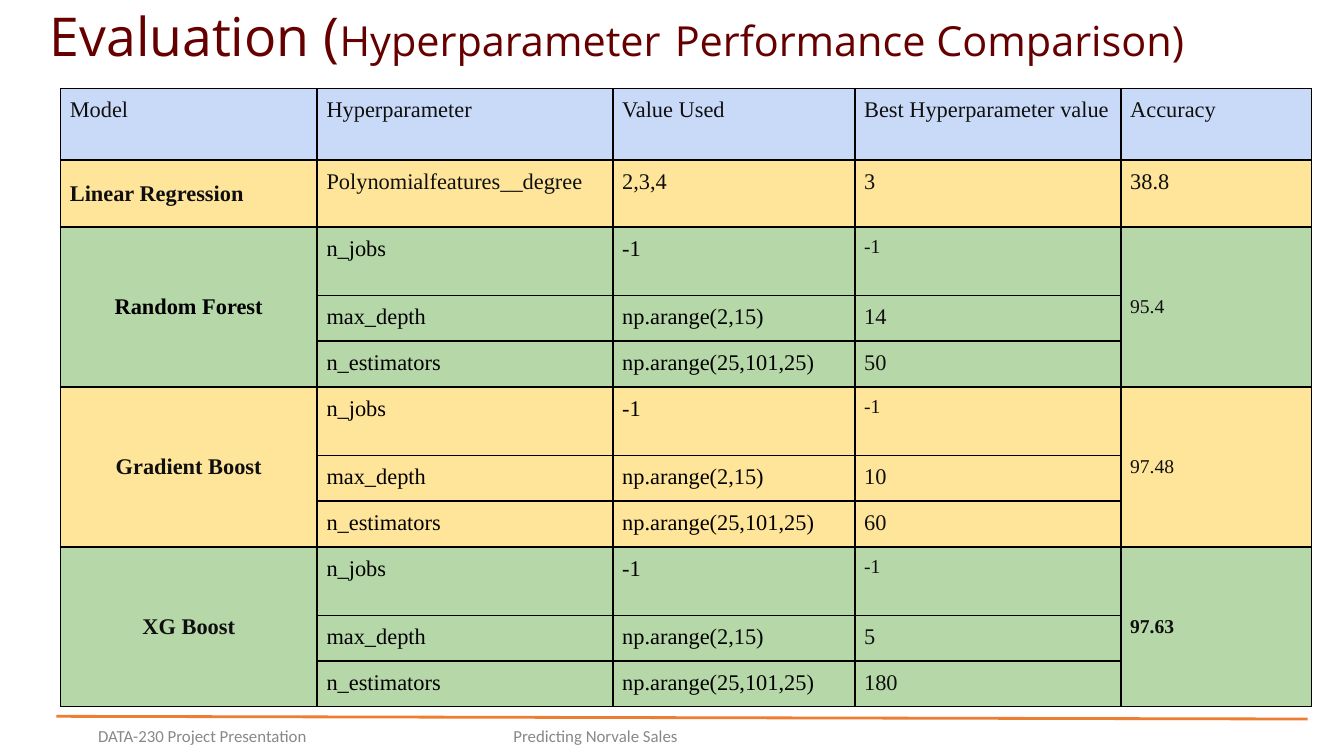
"""Build the hyperparameter comparison slide."""
from dataclasses import dataclass

from lxml.etree import SubElement
from pptx import Presentation
from pptx.dml.color import RGBColor
from pptx.enum.shapes import MSO_CONNECTOR
from pptx.enum.text import MSO_ANCHOR, MSO_AUTO_SIZE, PP_ALIGN
from pptx.oxml import parse_xml
from pptx.oxml.ns import nsdecls, qn
from pptx.slide import Slide
from pptx.table import Table, _Cell
from pptx.text.text import _Run
from pptx.util import Inches, Pt


@dataclass(frozen=True)
class Theme:
    title_font: str = "Open Sans"
    table_font: str = "Times New Roman"
    footer_font: str = "Calibri"
    maroon: str = "660000"
    orange: str = "ED7D31"
    gray: str = "888888"
    ink: str = "0F0F0F"
    black: str = "000000"
    blue: str = "C9DAF8"
    yellow: str = "FFE599"
    green: str = "B6D7A8"
    title: float = 28.7
    subtitle: float = 22.2
    body: float = 12
    small: float = 10.5
    footer: float = 9


THEME = Theme()


@dataclass(frozen=True)
class CellStyle:
    color: str = THEME.ink
    size: float = THEME.body
    bold: bool = False
    middle: bool = False
    centered: bool = False


@dataclass(frozen=True)
class Span:
    text: str
    size: float
    font: str
    color: str


@dataclass(frozen=True)
class TextBox:
    left: float
    top: float
    width: float
    height: float
    spans: tuple[Span, ...]
    line_spacing: float = 1.0
    grow: bool = False


@dataclass(frozen=True)
class Model:
    name: str
    fill: str
    best_depth: str
    best_estimators: str
    accuracy: str
    name_color: str = THEME.ink
    accuracy_bold: bool = False


SLIDE_WIDTH = 10
SLIDE_HEIGHT = SLIDE_WIDTH * 9 / 16
HEADINGS = ("Model", "Hyperparameter", "Value Used", "Best Hyperparameter value", "Accuracy")
LINEAR = ("Linear Regression", "Polynomialfeatures__degree", "2,3,4", "3", "38.8")
MODELS = (
    Model("Random Forest", THEME.green, "14", "50", "95.4", THEME.black),
    Model("Gradient Boost", THEME.yellow, "10", "60", "97.48"),
    Model("XG Boost", THEME.green, "5", "180", "97.63", accuracy_bold=True),
)
COLUMN_WIDTHS = (1.91, 2.2, 1.8, 1.98, 1.42)
GROUP_HEIGHTS = (0.51, 0.34, 0.34)
ROW_HEIGHTS = (0.53, 0.5) + GROUP_HEIGHTS * len(MODELS)

TITLE = TextBox(0.33, 0, 8.89, 0.59, tuple(
    Span(text, size, THEME.title_font, THEME.maroon) for text, size in (
        ("Evaluation (", THEME.title), ("Hyperparameter", THEME.subtitle),
        (" ", THEME.title), ("Performance Comparison)", THEME.subtitle))), 0.9)
FOOTERS = tuple(
    TextBox(left, 5.36, width, 0.23,
            (Span(text, THEME.footer, THEME.footer_font, THEME.gray),), grow=True)
    for left, width, text in ((0.69, 2.25, "DATA-230 Project Presentation"),
                              (3.78, 4.85, "Predicting Norvale Sales")))


def format_run(run: _Run, font: str, size: float, color: str, bold: bool = False) -> None:
    run.font.name = font
    run.font.size = Pt(size)
    run.font.bold = bold
    run.font.color.rgb = RGBColor.from_string(color)


def draw_text(page: Slide, item: TextBox) -> None:
    box = page.shapes.add_textbox(
        Inches(item.left), Inches(item.top), Inches(item.width), Inches(item.height))
    frame = box.text_frame
    frame.word_wrap = True
    frame.auto_size = MSO_AUTO_SIZE.SHAPE_TO_FIT_TEXT if item.grow else MSO_AUTO_SIZE.NONE
    frame.vertical_anchor = MSO_ANCHOR.MIDDLE
    frame.margin_left = frame.margin_right = Inches(0.04)
    frame.margin_top = frame.margin_bottom = Inches(0.04)
    paragraph = frame.paragraphs[0]
    paragraph.line_spacing = item.line_spacing
    for span in item.spans:
        run = paragraph.add_run()
        run.text = span.text
        format_run(run, span.font, span.size, span.color)


def draw_rule(page: Slide) -> None:
    rule = page.shapes.add_connector(
        MSO_CONNECTOR.STRAIGHT, Inches(0.42), Inches(5.33), Inches(9.73), Inches(5.35))
    rule.line.color.rgb = RGBColor.from_string(THEME.orange)
    rule.line.width = Pt(1.5)
    SubElement(rule._element.spPr, qn("a:effectLst"))


def style_box(cell: _Cell, fill: str) -> None:
    cell.margin_left = cell.margin_right = Inches(0.07)
    cell.margin_top = cell.margin_bottom = Inches(0.07)
    cell.fill.solid()
    cell.fill.fore_color.rgb = RGBColor.from_string(fill)
    properties = cell._tc.get_or_add_tcPr()
    for index, side in enumerate(("lnL", "lnR", "lnT", "lnB")):
        properties.insert(index, parse_xml(
            f'<a:{side} {nsdecls("a")} w="{Pt(1)}"><a:solidFill>'
            f'<a:srgbClr val="{THEME.black}"/></a:solidFill></a:{side}>'))


def write_cell(cell: _Cell, text: str, style: CellStyle) -> None:
    cell.text_frame.text = text
    cell.vertical_anchor = MSO_ANCHOR.MIDDLE if style.middle else MSO_ANCHOR.TOP
    paragraph = cell.text_frame.paragraphs[0]
    paragraph.alignment = PP_ALIGN.CENTER if style.centered else PP_ALIGN.LEFT
    format_run(paragraph.runs[0], THEME.table_font, style.size, style.color, style.bold)


def draw_model(table: Table, top: int, model: Model) -> None:
    bottom = top + len(GROUP_HEIGHTS) - 1
    settings = (("n_jobs", "-1", "-1", THEME.small),
                ("max_depth", "np.arange(2,15)", model.best_depth, THEME.body),
                ("n_estimators", "np.arange(25,101,25)", model.best_estimators, THEME.body))
    plain = CellStyle(THEME.black)
    for row, (name, used, best, best_size) in enumerate(settings, top):
        for column in range(len(COLUMN_WIDTHS)):
            style_box(table.cell(row, column), model.fill)
        write_cell(table.cell(row, 1), name, plain)
        write_cell(table.cell(row, 2), used, plain)
        write_cell(table.cell(row, 3), best, CellStyle(size=best_size))
    for column in (0, 4):
        table.cell(top, column).merge(table.cell(bottom, column))
    write_cell(table.cell(top, 0), model.name, CellStyle(
        model.name_color, bold=True, middle=True, centered=True))
    write_cell(table.cell(top, 4), model.accuracy, CellStyle(
        size=THEME.small, bold=model.accuracy_bold, middle=True))


def draw_table(page: Slide) -> None:
    table = page.shapes.add_table(
        len(ROW_HEIGHTS), len(COLUMN_WIDTHS), Inches(0.45), Inches(0.66),
        Inches(sum(COLUMN_WIDTHS)), Inches(sum(ROW_HEIGHTS))).table
    table.first_row = table.horz_banding = False
    for column, width in zip(table.columns, COLUMN_WIDTHS):
        column.width = Inches(width)
    for row, height in zip(table.rows, ROW_HEIGHTS):
        row.height = Inches(height)
    for row, (texts, fill) in enumerate(((HEADINGS, THEME.blue), (LINEAR, THEME.yellow))):
        for column, text in enumerate(texts):
            is_name = row == 1 and column == 0
            style_box(table.cell(row, column), fill)
            write_cell(table.cell(row, column), text, CellStyle(bold=is_name, middle=is_name))
    for index, model in enumerate(MODELS):
        draw_model(table, 2 + index * len(GROUP_HEIGHTS), model)


def main() -> None:
    deck = Presentation()
    deck.slide_width, deck.slide_height = Inches(SLIDE_WIDTH), Inches(SLIDE_HEIGHT)
    page = deck.slides.add_slide(deck.slide_layouts[6])
    draw_rule(page)
    for item in (*FOOTERS, TITLE):
        draw_text(page, item)
    draw_table(page)
    deck.save("out.pptx")


if __name__ == "__main__":
    main()
